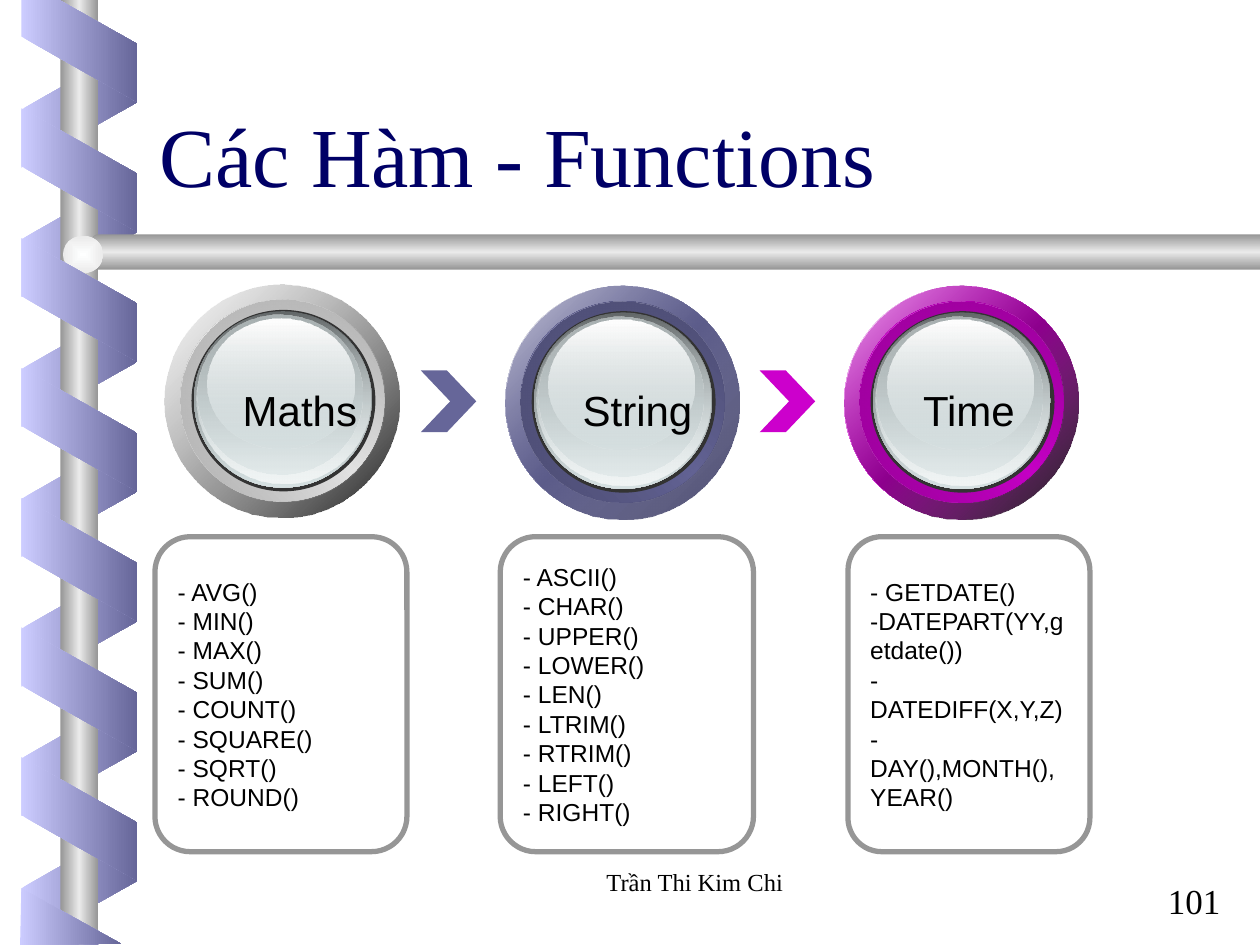
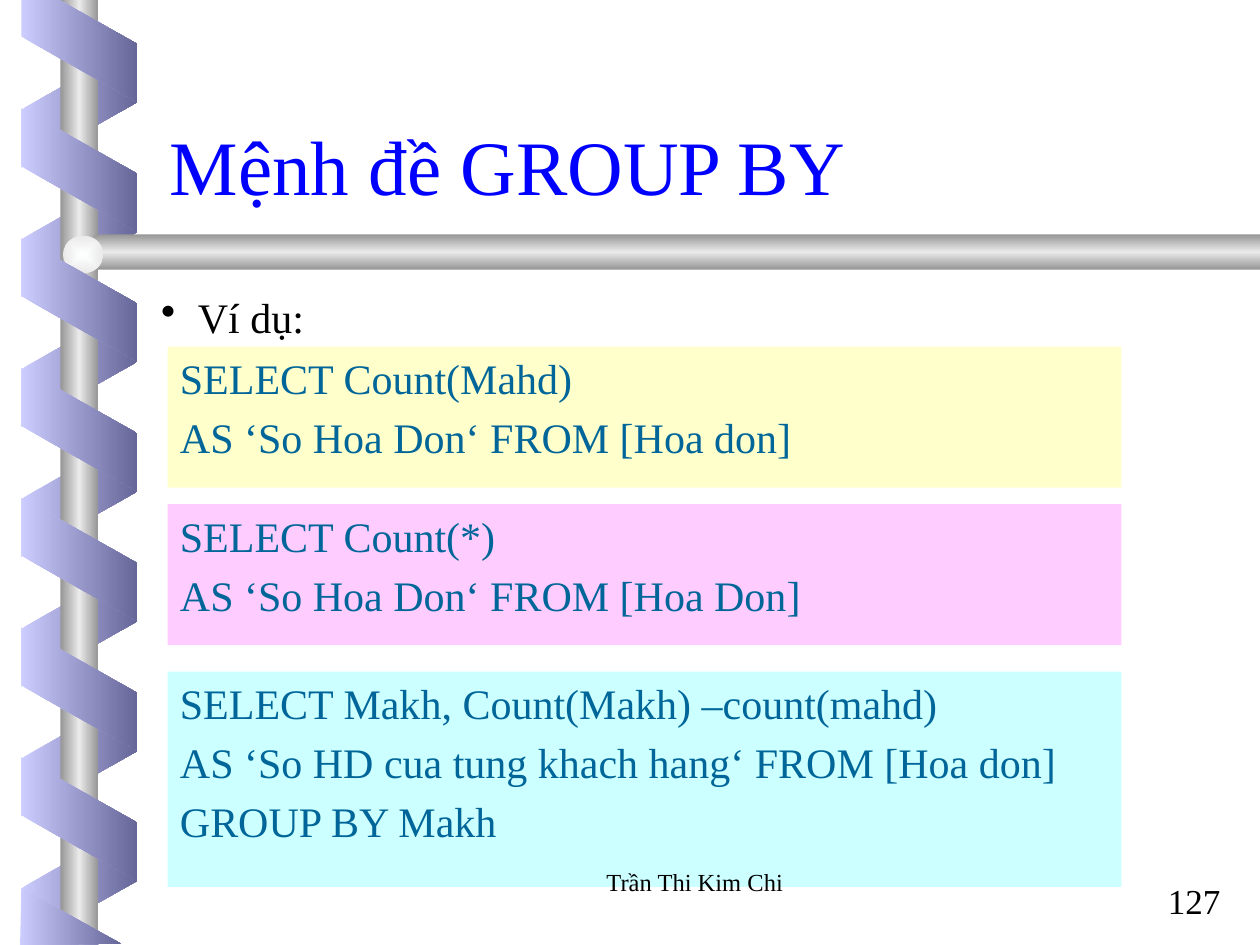
import pptx
import pptx.dml.color
import pptx.enum.shapes
import pptx.enum.text
import pptx.oxml
import pptx.oxml.ns
import pptx.util
from lxml import etree

Inches = pptx.util.Inches
Pt = pptx.util.Pt
RGBColor = pptx.dml.color.RGBColor
qn = pptx.oxml.ns.qn
MSO_SHAPE = pptx.enum.shapes.MSO_SHAPE
PP_ALIGN = pptx.enum.text.PP_ALIGN
MSO_ANCHOR = pptx.enum.text.MSO_ANCHOR

WHITE = RGBColor(0xFF, 0xFF, 0xFF)
BLACK = RGBColor(0x00, 0x00, 0x00)
SLATE = RGBColor(0x66, 0x66, 0x99)
LAVENDER = RGBColor(0xCC, 0xCC, 0xFF)
STEEL = RGBColor(0x96, 0x96, 0x96)
SILVER = RGBColor(0xEA, 0xEA, 0xEA)
BALL_WHITE = RGBColor(0xFE, 0xFF, 0xFF)
MAGENTA = RGBColor(0xCC, 0x00, 0xCC)
MAGENTA_DARK = RGBColor(0x9C, 0x00, 0x9C)
SILVER_DARK = RGBColor(0xB3, 0xB3, 0xB3)
SLATE_DARK = RGBColor(0x4E, 0x4E, 0x75)
SLATE_SHADE = RGBColor(0x49, 0x49, 0x6D)
CHARCOAL = RGBColor(0x33, 0x33, 0x33)
GLASS = RGBColor(0xD6, 0xE1, 0xE2)
GLASS_DARK = RGBColor(0x63, 0x68, 0x69)
GLASS_MID = RGBColor(0xAA, 0xB2, 0xB3)
GLASS_LIGHT = RGBColor(0xF1, 0xF5, 0xF5)
NAVY = RGBColor(0x00, 0x00, 0x66)
BLUE = RGBColor(0x00, 0x00, 0xFF)
QUERY_TEAL = RGBColor(0x00, 0x66, 0x99)
PALE_YELLOW = RGBColor(0xFF, 0xFF, 0xCC)
PALE_PINK = RGBColor(0xFF, 0xCC, 0xFF)
PALE_CYAN = RGBColor(0xCC, 0xFF, 0xFF)

SERIF = "Times New Roman"
SANS = "Arial"
RIBBON = [(0, LAVENDER, 100), (100, SLATE, 100)]
METAL = [(0, STEEL, 100), (50, SILVER, 100), (100, STEEL, 100)]


def paint(shape, stops, angle=None):
    shape.shadow.inherit = False
    shape.line.fill.background()
    if len(stops) == 1:
        shape.fill.solid()
        shape.fill.fore_color.rgb = stops[0][1]
        return
    shape.fill.background()
    properties = shape.element.spPr
    gradient = etree.Element(qn("a:gradFill"), rotWithShape="1")
    stop_list = etree.SubElement(gradient, qn("a:gsLst"))
    for position, color, opacity in stops:
        stop = etree.SubElement(stop_list, qn("a:gs"), pos=str(position * 1000))
        tint = etree.SubElement(stop, qn("a:srgbClr"), val=str(color))
        etree.SubElement(tint, qn("a:alpha"), val=str(opacity * 1000))
    if angle is None:
        center = etree.SubElement(gradient, qn("a:path"), path="shape")
        etree.SubElement(center, qn("a:fillToRect"),
                         l="50000", t="50000", r="50000", b="50000")
    else:
        etree.SubElement(gradient, qn("a:lin"), ang=str(angle * 60000), scaled="0")
    properties.replace(properties.find(qn("a:noFill")), gradient)


def write(shape, lines, font, size, color, align=PP_ALIGN.LEFT, gap=0, **frame_format):
    frame = shape.text_frame
    frame_values = {"word_wrap": True, "vertical_anchor": MSO_ANCHOR.TOP, **frame_format}
    for name, value in frame_values.items():
        setattr(frame, name, value)
    for index, line in enumerate(lines):
        paragraph = frame.paragraphs[0] if index == 0 else frame.add_paragraph()
        paragraph.text = line
        paragraph.alignment = align
        paragraph.space_before = Pt(gap if index else 0)
        for name, value in {"name": font, "size": Pt(size)}.items():
            setattr(paragraph.runs[0].font, name, value)
        paragraph.runs[0].font.color.rgb = color


prs = pptx.Presentation()
prs.slide_width = Inches(10)
prs.slide_height = Inches(7.5)
functions_slide = prs.slides.add_slide(prs.slide_layouts[6])
group_by_slide = prs.slides.add_slide(prs.slide_layouts[6])

left, right, height, edge = 0.17, 1.09, 0.98, 0.46
back_turns = []
for turn in range(7):
    top = 0.35 + 1.03 * turn
    back_turns.append([(left, top + height - edge), (left, top + height),
                       (right, top + edge), (right, top)])
front_turns = []
for turn in range(6):
    top = 0.86 + 1.03 * turn
    front_turns.append([(left, top), (left, top + edge),
                        (right, top + height), (right, top + height - edge)])
front_turns.append([(left, 0), (left, 0.29), (right, 0.81), (right, 0.35), (0.47, 0)])
front_turns.append([(0.96, 7.49), (left, 7.05), (0.16, 7.5)])

for slide, page, title, size, color, place, anchor in [
    (functions_slide, "101", "Các Hàm - Functions", 48, NAVY,
     (1.17, 0.77, 7.33, 0.9), MSO_ANCHOR.MIDDLE),
    (group_by_slide, "127", "Mệnh đề GROUP BY", 44, BLUE,
     (1.25, 0.89, 8.5, 0.83), MSO_ANCHOR.BOTTOM),
]:
    for turns in (back_turns, front_turns):
        for corners in turns:
            start, *others = [(Inches(x), Inches(y)) for x, y in corners]
            outline = slide.shapes.build_freeform(*start)
            outline.add_line_segments(others, close=True)
            paint(outline.convert_to_shape(), RIBBON, 0)
        if turns is back_turns:
            pole = slide.shapes.add_shape(
                MSO_SHAPE.RECTANGLE, Inches(0.48), 0, Inches(0.3), Inches(7.5))
            paint(pole, METAL, 0)
            bar = slide.shapes.add_shape(
                MSO_SHAPE.PENTAGON, Inches(0.6), Inches(1.86), Inches(9.4), Inches(0.28))
            bar.adjustments[0] = 0.59
            bar.element.spPr.xfrm.set("flipH", "1")
            paint(bar, METAL, 90)
            ball = slide.shapes.add_shape(
                MSO_SHAPE.OVAL, Inches(0.5), Inches(1.87), Inches(0.32), Inches(0.3))
            paint(ball, [(0, BALL_WHITE, 100), (100, SILVER, 100)])
    page_number = slide.shapes.add_textbox(
        Inches(9.17), Inches(6.93), Inches(0.83), Inches(0.43))
    write(page_number, [page], SERIF, 20, BLACK)
    heading = slide.shapes.add_textbox(*map(Inches, place))
    write(heading, [title], SERIF, size, color, vertical_anchor=anchor)

for card_left, card_width, functions in [
    (1.23, 2, ["- AVG()", "- MIN()", "- MAX()", "- SUM()", "- COUNT()",
               "- SQUARE()", "- SQRT()", "- ROUND()"]),
    (3.97, 2.01, ["- ASCII()", "- CHAR()", "- UPPER()", "- LOWER()", "- LEN()",
                  "- LTRIM()", "- RTRIM()", "- LEFT()", "- RIGHT()"]),
    (6.73, 1.92, ["- GETDATE()", "-DATEPART(YY,getdate())", "- DATEDIFF(X,Y,Z)",
                  "- DAY(),MONTH(),YEAR()"]),
]:
    card = functions_slide.shapes.add_shape(
        MSO_SHAPE.ROUNDED_RECTANGLE, Inches(card_left), Inches(4.26),
        Inches(card_width), Inches(2.5))
    card.adjustments[0] = 0.14
    card.shadow.inherit = False
    card.fill.background()
    card.line.color.rgb = STEEL
    card.line.width = Pt(3)
    write(card, functions, SANS, 14, BLACK, vertical_anchor=MSO_ANCHOR.MIDDLE)

for chevron_left, color in [(3.34, SLATE), (6.03, MAGENTA)]:
    chevron = functions_slide.shapes.add_shape(
        MSO_SHAPE.CHEVRON, Inches(chevron_left), Inches(2.94), Inches(0.44), Inches(0.49))
    chevron.adjustments[0] = 0.53
    paint(chevron, [(0, color, 100)])

glass_layers = [
    ((0.21, 0.2, 1.46, 1.44), [(0, CHARCOAL, 100)], None),
    ((0.23, 0.21, 1.41, 1.4), [(0, GLASS_DARK, 100), (100, GLASS, 100)], 90),
    ((0.25, 0.22, 1.38, 1.36), [(0, GLASS, 0), (100, GLASS_LIGHT, 100)], 90),
    ((0.26, 0.24, 1.31, 1.27), [(0, GLASS_MID, 100), (100, GLASS, 48)], 90),
    ((0.34, 0.27, 1.16, 1.03), [(0, WHITE, 100), (100, GLASS, 38)], 90),
]
for dial_left, dial_top, color, dark, shade, opacity, label, label_left, label_width in [
    (1.31, 2.26, SILVER, SILVER_DARK, BLACK, 90, "Maths", 1.82, 1.12),
    (4.01, 2.27, SLATE, SLATE_DARK, SLATE_SHADE, 100, "String", 4.52, 1.08),
    (6.7, 2.27, MAGENTA, MAGENTA_DARK, BLACK, 90, "Time", 7.22, 0.94),
]:
    rim, ring = (0, 0, 1.86, 1.85), (0.12, 0.12, 1.62, 1.6)
    ring_layers = [
        (rim, [(0, WHITE, 100), (50, color, 100), (100, WHITE, 100)], 45),
        (rim, [(0, color, 32), (100, shade, opacity)], 45),
        (ring, [(0, dark, 100), (50, color, 100), (100, dark, 100)], 315),
        (ring, [(0, dark, 100), (100, dark, 0)], 45),
    ]
    for (dx, dy, width, height), stops, angle in ring_layers + glass_layers:
        disc = functions_slide.shapes.add_shape(
            MSO_SHAPE.OVAL, Inches(dial_left + dx), Inches(dial_top + dy),
            Inches(width), Inches(height))
        paint(disc, stops, angle)
    dial_label = functions_slide.shapes.add_textbox(
        Inches(label_left), Inches(3), Inches(label_width), Inches(0.51))
    write(dial_label, [label], SANS, 24, BLACK, PP_ALIGN.CENTER, word_wrap=False)

example = group_by_slide.shapes.add_textbox(
    Inches(1.08), Inches(2.17), Inches(8.57), Inches(5.33))
write(example, ["Ví dụ:"], SERIF, 24, BLACK, PP_ALIGN.JUSTIFY,
      margin_left=Inches(0.2), margin_top=Inches(0.1))
example_line = example.text_frame.paragraphs[0]
example_line.line_spacing = 1.1
bullet_properties = example_line._p.get_or_add_pPr()
bullet_properties.set("marL", str(Inches(0.29)))
bullet_properties.set("indent", str(-Inches(0.29)))
etree.SubElement(bullet_properties, qn("a:buChar"), char="•")

for query_top, query_height, color, query in [
    (2.75, 1.12, PALE_YELLOW,
     ["SELECT Count(Mahd)", "AS ‘So Hoa Don‘ FROM [Hoa don]"]),
    (5.33, 1.71, PALE_CYAN,
     ["SELECT Makh, Count(Makh) –count(mahd)",
      "AS ‘So HD cua tung khach hang‘ FROM [Hoa don]", "GROUP BY Makh"]),
    (4, 1.12, PALE_PINK,
     ["SELECT Count(*)", "AS ‘So Hoa Don‘ FROM [Hoa Don]"]),
]:
    query_box = group_by_slide.shapes.add_shape(
        MSO_SHAPE.RECTANGLE, Inches(1.33), Inches(query_top),
        Inches(7.57), Inches(query_height))
    paint(query_box, [(0, color, 100)])
    write(query_box, query, SERIF, 24, QUERY_TEAL, PP_ALIGN.JUSTIFY, gap=4.8)

for slide in prs.slides:
    author = slide.shapes.add_textbox(
        Inches(3.93), Inches(6.83), Inches(3.17), Inches(0.5))
    write(author, ["Trần Thi Kim Chi"], SERIF, 14, BLACK, PP_ALIGN.CENTER)

prs.save("out.pptx")
